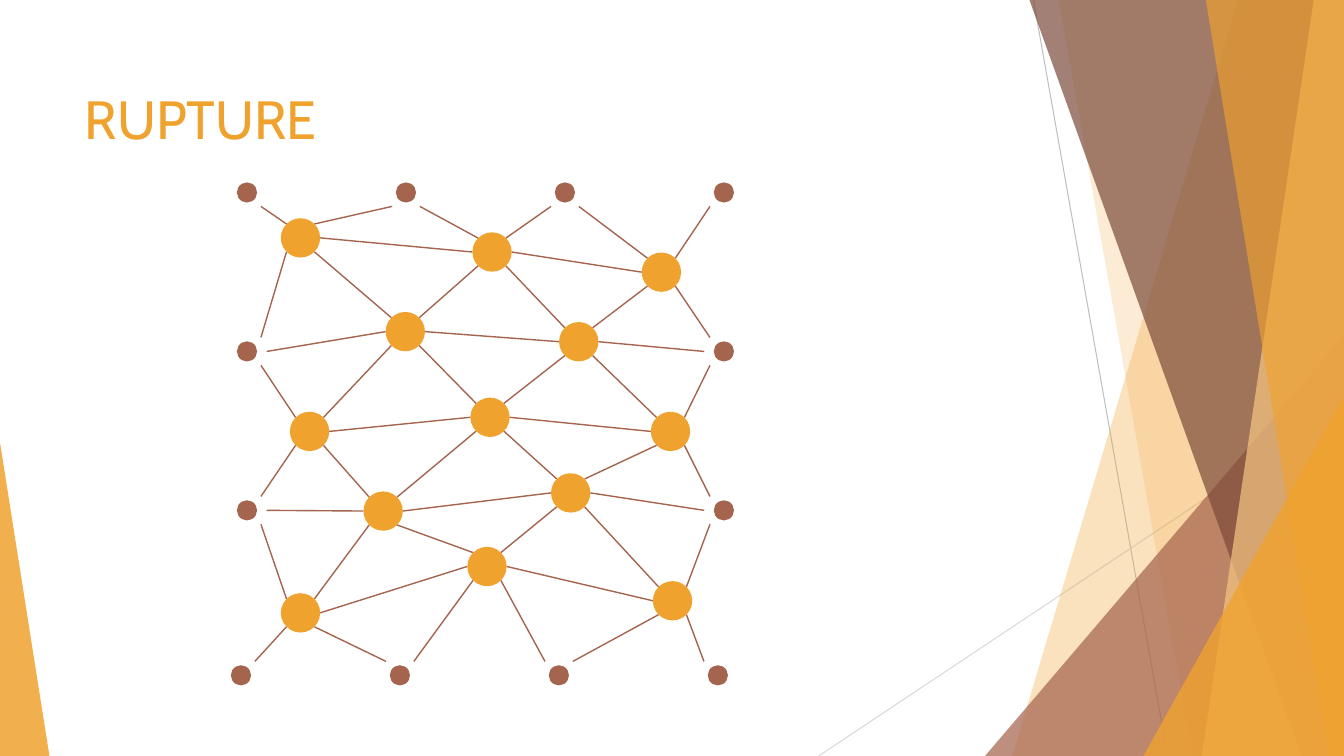
import math

from lxml import etree
from pptx import Presentation
from pptx import util as u
from pptx.dml.color import RGBColor
from pptx.enum import shapes, text
from pptx.oxml.ns import qn

WIDTH, HEIGHT = 13.33, 7.5
AMBER, BROWN, DARK_BROWN, PALE_AMBER = "F0A22E", "A5644E", "7C4B3B", "F6C782"
HUB_SIZE, ANCHOR_SIZE = 0.39, 0.2

# Centres of the hubs, relative to the network's box
HUBS = {
    "A": (0.69, 0.55), "B": (2.59, 0.69), "C": (4.27, 0.89),
    "D": (1.73, 1.48), "E": (3.45, 1.58),
    "F": (0.78, 2.47), "G": (2.57, 2.33), "H": (4.36, 2.47),
    "I": (1.51, 3.26), "J": (3.37, 3.08),
    "K": (0.69, 4.27), "L": (2.54, 3.81), "M": (4.38, 4.15),
}

# Each hub with the nodes it is joined to; t, l, r and b are edge anchors
LINKS = {
    "A": "t0 t1 l0 B D", "B": "t1 t2 C D E", "C": "t2 t3 r0 E",
    "D": "l0 E F G", "E": "r0 G H",
    "F": "l0 l1 G I", "G": "H I J", "H": "r0 r1 J",
    "I": "l1 J K L", "J": "r1 L M",
    "K": "l1 b0 b1 L", "L": "b1 b2 M", "M": "r1 b2 b3",
}


def color(value):
    return RGBColor.from_string(value)


def paint(shape, fill, opacity=100):
    shape.shadow.inherit = False
    shape.fill.solid()
    shape.fill.fore_color.rgb = color(fill)
    shape.line.fill.background()
    if opacity < 100:
        fill_color = shape.fill._xPr.find(qn("a:solidFill"))[0]
        alpha = etree.SubElement(fill_color, qn("a:alpha"))
        alpha.set("val", str(opacity * 1000))


def add_line(slide, start, end, line_color, width):
    line = slide.shapes.add_connector(
        shapes.MSO_CONNECTOR.STRAIGHT, *map(u.Inches, (*start, *end)))
    line.line.color.rgb = color(line_color)
    line.line.width = u.Pt(width)
    etree.SubElement(line._element.spPr, qn("a:effectLst"))


def add_panel(slide, top_x, bottom_x, fill, opacity):
    """A band from a slanted left edge to the right side of the slide."""
    corners = [(top_x, 0), (WIDTH, 0), (WIDTH, HEIGHT), (bottom_x, HEIGHT)]
    points = [(u.Inches(x), u.Inches(y)) for x, y in corners]
    builder = slide.shapes.build_freeform(*points[0], scale=1.0)
    builder.add_line_segments(points[1:], close=True)
    paint(builder.convert_to_shape(), fill, opacity)


def add_wedge(slide, left, top, width, apex, fill, opacity):
    """A triangle standing on the bottom edge of the slide."""
    wedge = slide.shapes.add_shape(
        shapes.MSO_SHAPE.ISOSCELES_TRIANGLE,
        *map(u.Inches, (left, top, width, HEIGHT - top)))
    wedge.adjustments[0] = apex
    paint(wedge, fill, opacity)


def add_dot(slide, center, size, fill):
    x, y = center
    dot = slide.shapes.add_shape(
        shapes.MSO_SHAPE.OVAL,
        *map(u.Inches, (x - size / 2, y - size / 2, size, size)))
    paint(dot, fill)


def add_backdrop(slide):
    # Thin lines, then the overlapping facets
    add_line(slide, (10.25, 0), (11.58, HEIGHT), "BFBFBF", 0.75)
    add_line(slide, (WIDTH, 4.03), (8.12, HEIGHT), "D9D9D9", 0.75)
    add_panel(slide, 12.28, 10.04, AMBER, 30)
    add_panel(slide, 10.5, 11.83, AMBER, 20)
    add_wedge(slide, 9.77, 3.33, 3.56, 1, BROWN, 72)
    add_panel(slide, 10.21, 12.91, DARK_BROWN, 70)
    add_panel(slide, 13.03, 11.92, PALE_AMBER, 70)
    add_panel(slide, 11.96, 13.18, AMBER, 65)
    add_wedge(slide, 11.34, 3.93, 1.99, 1, AMBER, 80)
    # Left corner
    add_wedge(slide, 0, 4.39, 0.49, 0, AMBER, 85)


def add_title(slide, left, top, width, height):
    title = slide.shapes.title
    title.left, title.top, title.width, title.height = map(
        u.Inches, (left, top, width, height))
    frame = title.text_frame
    frame.word_wrap = True
    frame.auto_size = text.MSO_AUTO_SIZE.NONE
    frame.vertical_anchor = text.MSO_ANCHOR.TOP
    paragraph = frame.paragraphs[0]
    paragraph.alignment = text.PP_ALIGN.LEFT
    run = paragraph.add_run()
    run.text = "rupture"
    run.font.name = "Cabin"
    run.font.size = u.Pt(48)
    run.font.color.rgb = color(AMBER)
    run._r.get_or_add_rPr().set("cap", "small")


def add_link(slide, start, end):
    """Join two nodes at the facing ones of their eight compass points."""
    (x1, y1), (x2, y2) = start, end
    eighth = math.pi / 4
    angle = round(math.atan2(y2 - y1, x2 - x1) / eighth) * eighth
    dx = HUB_SIZE / 2 * math.cos(angle)
    dy = HUB_SIZE / 2 * math.sin(angle)
    add_line(slide, (x1 + dx, y1 + dy), (x2 - dx, y2 - dy), BROWN, 1)


def add_network(slide, left, top, width, height):
    hubs = {name: (left + x, top + y) for name, (x, y) in HUBS.items()}

    # Anchors: four along top and bottom, two down each side
    anchors = {}
    for i in range(4):
        x = left + 0.16 + i * width / 3
        anchors[f"t{i}"] = (x, top + 0.1)
        anchors[f"b{i}"] = (x - 0.06, top + height)
    for i in range(2):
        y = top + 0.1 + (i + 1) * width / 3
        anchors[f"l{i}"] = (left + 0.16, y)
        anchors[f"r{i}"] = (left + 0.16 + width, y)

    nodes = {**hubs, **anchors}
    for hub, neighbours in LINKS.items():
        for neighbour in neighbours.split():
            add_link(slide, nodes[hub], nodes[neighbour])
    for center in hubs.values():
        add_dot(slide, center, HUB_SIZE, AMBER)
    for center in anchors.values():
        add_dot(slide, center, ANCHOR_SIZE, BROWN)


def main():
    presentation = Presentation()
    presentation.slide_width = u.Inches(WIDTH)
    presentation.slide_height = u.Inches(HEIGHT)
    slide = presentation.slides.add_slide(presentation.slide_layouts[5])
    add_backdrop(slide)
    add_title(slide, 0.74, 0.67, 9.4, 1.44)
    add_network(slide, 2.29, 1.81, 4.73, 4.89)
    presentation.save("out.pptx")


if __name__ == "__main__":
    main()
